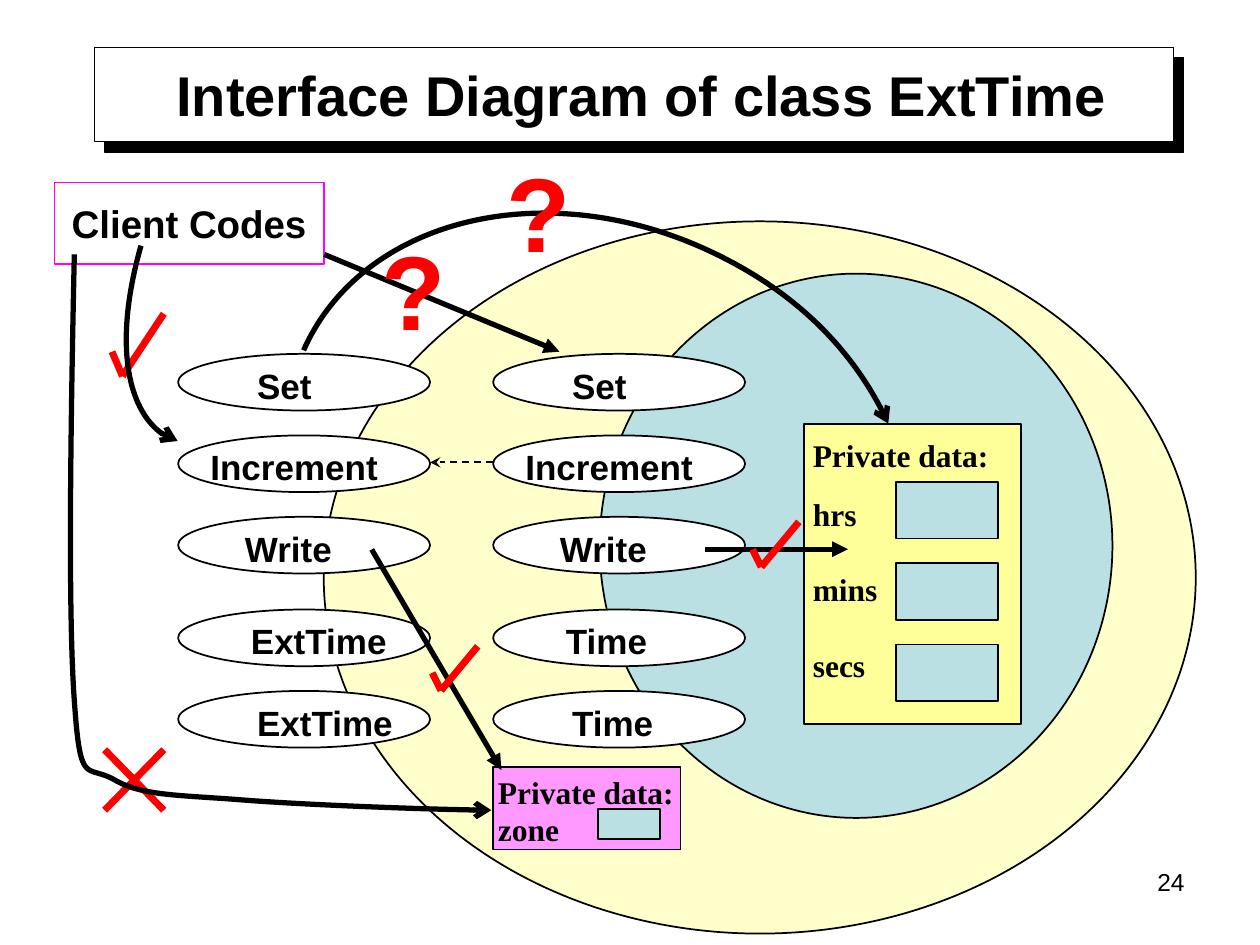
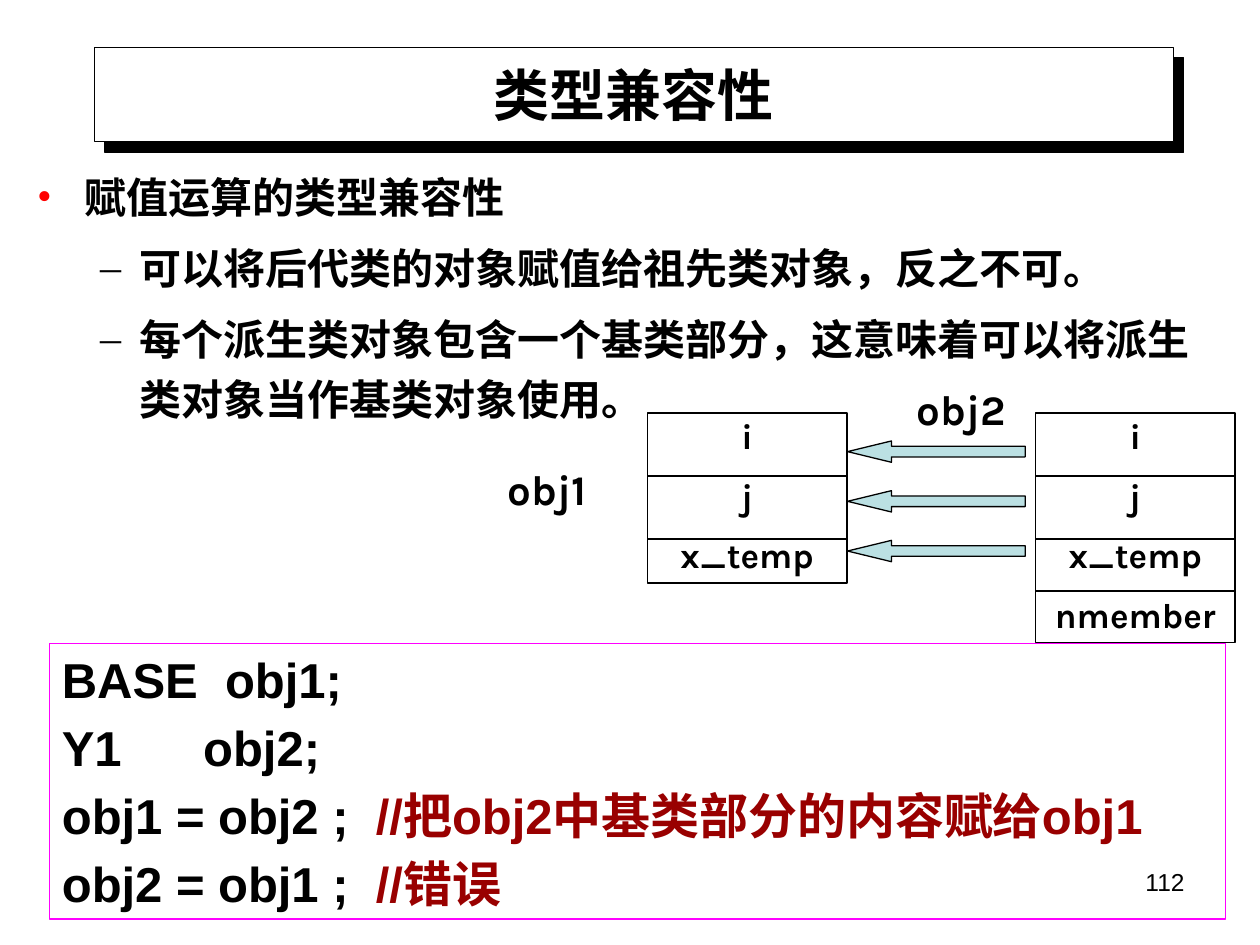
"""Build two class slides: an interface diagram and type compatibility."""
import itertools

import pptx
import pptx.dml.color
import pptx.enum.dml
import pptx.enum.shapes
import pptx.enum.text
import pptx.oxml.ns
import pptx.util
from lxml import etree

Pt = pptx.util.Pt
SHAPE = pptx.enum.shapes.MSO_SHAPE
ALIGN = pptx.enum.text.PP_ALIGN
ANCHOR = pptx.enum.text.MSO_ANCHOR

COLOURS = {
    "black": "000000", "white": "FFFFFF", "red": "FF0000", "dark red": "990000",
    "magenta": "FF00FF", "pink": "FF99FF", "cream": "FFFFCC", "yellow": "FFFF99",
    "teal": "BBE0E3",
}
SANS, SERIF, CODE, CHINESE = "Arial", "Times New Roman", "Karla", "Noto Sans CJK SC"
TITLE_BOX = (54, 27, 616.5, 54)
NUMBER_BOX = (516, 492, 168, 37)

DERIVED_X, BASE_X = 101.8, 281.8
OVAL_SIZE = (144, 32.4)
METHODS = [
    ("Set", "Set", 202.2, 38),
    ("Increment", "Increment", 248.8, 11.3),
    ("Write", "Write", 295.3, 31),
    ("ExtTime", "Time", 348.3, 34.5),
    ("ExtTime", "Time", 394.8, 38),
]
NAME_WIDTHS = {"Set": 46, "Increment": 110.4, "Write": 64.6, "ExtTime": 92.6, "Time": 61.2}
BASE_FIELDS = [("Private data:", 0), ("hrs", 12), ("mins", 21.6), ("secs", 21.6)]
SLOT_TOP, SLOT_STEP = 275.3, 46.5

CROSS = [[(59.8, 428.4), (93.6, 463)], [(93.6, 428.4), (59.8, 463)]]
CLIENT_CHECK = [(64, 201), (70, 215), (93.6, 179.3)]
MEMBER_CHECKS = [
    [(247, 384.5), (252, 394.6), (273, 369.3)],
    [(430, 314), (435, 324), (456.5, 298.2)],
]
STRAIGHT_ARROWS = [
    [(212.4, 314), (286.5, 440)],
    [(403, 313.8), (484.6, 313.8)],
    [(185.3, 145.4), (319.7, 201)],
]
CURVED_ARROWS = [
    [(80.6, 140.4), (65, 195.1), (74, 244.8), (101.5, 252)],
    [(42.5, 145.4), (40.3, 247.7), (38.9, 350), (42.5, 400.3),
     (46, 450.7), (49, 436.3), (65.5, 445.7),
     (81.4, 455), (103, 454.3), (139, 457.2),
     (175, 460), (256.3, 463), (280.8, 463)],
    [(173.5, 200.2), (206, 126.7), (306.7, 100), (400.3, 141.1),
     (449.3, 162.7), (488.2, 199.4), (507.6, 242)],
]
QUESTION_CENTRES = [(307.7, 120.2), (236.3, 165)]

COMPATIBILITY = [
    (0, "赋值运算的类型兼容性"),
    (1, "可以将后代类的对象赋值给祖先类对象，反之不可。"),
    (1, "每个派生类对象包含一个基类部分，这意味着可以将派生类对象当作基类对象使用。"),
]
BULLETS = [("•", "red", 27, -27), ("–", "black", 58.3, -22.3)]
CODE_LINES = [
    ("BASE  obj1;", ""),
    ("Y1      obj2;", ""),
    ("obj1 = obj2 ;  ", "//把obj2中基类部分的内容赋给obj1"),
    ("obj2 = obj1 ;  ", "//错误"),
]
MEMBERS = ["i", "j", "x_temp", "nmember"]
DIVIDERS = [272, 308, 337.8]
OBJECT_TOP, OBJECT_WIDTH = 236, 114
OBJECTS = [
    (370, 97.2, 3, "obj1", (276.5, 264.5)),
    (591.8, 131.2, 4, "obj2", (513.4, 219)),
]


def rgb(name):
    return pptx.dml.color.RGBColor.from_string(COLOURS[name])


def add_child(parent, tag, **attributes):
    return etree.SubElement(parent, pptx.oxml.ns.qn(tag), attributes)


def style_font(paragraph, size, font=SANS, colour="black", bold=True):
    for run in paragraph.runs:
        run.font.size, run.font.bold, run.font.name = Pt(size), bold, font
        run.font.color.rgb = rgb(colour)
        add_child(run.font._element, "a:ea", typeface=CHINESE)


def write(shape, lines, size, font=SANS, colour="black", bold=True, align=ALIGN.LEFT,
          anchor=ANCHOR.TOP, gaps=(), spacing=None, wrap=True):
    frame = shape.text_frame
    frame.word_wrap, frame.vertical_anchor = wrap, anchor
    frame.text = "\n".join(lines)
    for paragraph, gap in itertools.zip_longest(frame.paragraphs, gaps):
        paragraph.alignment = align
        if gap:
            paragraph.space_before = Pt(gap)
        if spacing:
            paragraph.line_spacing = spacing
        style_font(paragraph, size, font, colour, bold)
    return frame


def set_margins(frame, left, top, right=0):
    frame.margin_left, frame.margin_top, frame.margin_right = Pt(left), Pt(top), Pt(right)


def add_text(slide, box, lines, size, **options):
    return write(slide.shapes.add_textbox(*map(Pt, box)), lines, size, **options)


def add_box(slide, kind, box, fill=None, line="black", width=1):
    shape = slide.shapes.add_shape(kind, *map(Pt, box))
    shape.shadow.inherit = False
    if fill:
        shape.fill.solid()
        shape.fill.fore_color.rgb = rgb(fill)
    else:
        shape.fill.background()
    shape.line.color.rgb, shape.line.width = rgb(line), Pt(width)
    return shape


def add_arrowhead(shape, head):
    outline = shape.element.spPr.find(pptx.oxml.ns.qn("a:ln"))
    add_child(outline, "a:tailEnd", type=head)


def add_lines(slide, points, colour="black", width=0.75, head=None, dashed=False):
    for start, end in itertools.pairwise(points):
        connector = slide.shapes.add_connector(
            pptx.enum.shapes.MSO_CONNECTOR.STRAIGHT, *map(Pt, start + end))
        connector.line.color.rgb, connector.line.width = rgb(colour), Pt(width)
        if dashed:
            connector.line.dash_style = pptx.enum.dml.MSO_LINE.DASH
        if head:
            add_arrowhead(connector, head)
        add_child(connector.element.spPr, "a:effectLst")


def add_curved_arrow(slide, controls):
    start, *rest = [(Pt(x), Pt(y)) for x, y in controls]
    builder = slide.shapes.build_freeform(*start)
    builder.add_line_segments(rest, close=False)
    curve = builder.convert_to_shape()
    segments = list(curve.element.iter(pptx.oxml.ns.qn("a:lnTo")))
    outline = segments[0].getparent()
    for first in range(0, len(segments), 3):
        bezier = add_child(outline, "a:cubicBezTo")
        for segment in segments[first:first + 3]:
            bezier.append(segment[0])
            outline.remove(segment)
    curve.shadow.inherit = False
    curve.fill.background()
    curve.line.color.rgb, curve.line.width = rgb("black"), Pt(3)
    add_arrowhead(curve, "arrow")


def add_title_frame(slide):
    frame = add_box(slide, SHAPE.RECTANGLE, TITLE_BOX, "white", width=0.75)
    effects = frame.element.spPr.find(pptx.oxml.ns.qn("a:effectLst"))
    shadow = add_child(effects, "a:outerShdw", dist=str(Pt(8.5)), dir="2700000",
                       algn="ctr", rotWithShape="0")
    add_child(shadow, "a:srgbClr", val=COLOURS["black"])
    slide.slide_layout.shapes._spTree.insert(2, frame.element)


def add_slide(presentation, heading, number, title_shift=0):
    slide = presentation.slides.add_slide(presentation.slide_layouts[5])
    title = slide.shapes.title
    title.left, title.top, title.width, title.height = map(Pt, TITLE_BOX)
    frame = write(title, [heading], 32, align=ALIGN.CENTER, anchor=ANCHOR.MIDDLE)
    set_margins(frame, 7.2 + title_shift, 3.6, 7.2)
    add_text(slide, NUMBER_BOX, [number], 14, bold=False, align=ALIGN.RIGHT)
    return slide


def build_interface_slide(presentation):
    slide = add_slide(presentation, "Interface Diagram of class ExtTime", "24", 9)
    add_title_frame(slide)
    add_box(slide, SHAPE.OVAL, (185, 126.5, 498.3, 407), "cream")
    add_box(slide, SHAPE.OVAL, (342.7, 156.4, 293, 311), "teal")

    add_box(slide, SHAPE.RECTANGLE, (459.4, 242.2, 124, 171.5), "yellow")
    names, gaps = zip(*BASE_FIELDS)
    add_text(slide, (457.4, 245.6, 115.2, 149), names, 18, font=SERIF, gaps=gaps, wrap=False)
    for slot in range(len(BASE_FIELDS) - 1):
        add_box(slide, SHAPE.RECTANGLE,
                (512, SLOT_TOP + slot * SLOT_STEP, 58.3, 32.4), "teal")

    for derived, base, top, indent in METHODS:
        for left, name in ((BASE_X, base), (DERIVED_X, derived)):
            add_box(slide, SHAPE.OVAL, (left, top, *OVAL_SIZE), "white")
            add_text(slide, (left + indent, top + 2.3, NAME_WIDTHS[name], 31.2), [name], 20,
                     wrap=False)
    add_lines(slide, [(BASE_X, 264.2), (DERIVED_X + OVAL_SIZE[0], 264.2)],
              width=1, head="stealth", dashed=True)

    add_box(slide, SHAPE.RECTANGLE, (281.6, 438.5, 107.3, 47), "pink")
    add_text(slide, (277.5, 438, 115.2, 50.4), ["Private data:", "zone"], 18, font=SERIF)
    add_box(slide, SHAPE.RECTANGLE, (341.8, 462.2, 35.3, 17.3), "teal")

    client = add_box(slide, SHAPE.RECTANGLE, (31, 104.4, 154.2, 46.4), line="magenta", width=0.75)
    write(client, ["Client Codes"], 22, align=ALIGN.CENTER, anchor=ANCHOR.MIDDLE, wrap=False)

    for mark in [*CROSS, CLIENT_CHECK]:
        add_lines(slide, mark, "red", 4)
    for controls in CURVED_ARROWS:
        add_curved_arrow(slide, controls)
    for arrow in STRAIGHT_ARROWS:
        add_lines(slide, arrow, width=3, head="triangle")
    for mark in MEMBER_CHECKS:
        add_lines(slide, mark, "red", 4)
    for x, y in QUESTION_CENTRES:
        add_text(slide, (x - 25.5, y - 40, 51, 80), ["?"], 60, colour="red",
                 align=ALIGN.CENTER, anchor=ANCHOR.MIDDLE, wrap=False)


def build_compatibility_slide(presentation):
    slide = add_slide(presentation, "类型兼容性", "112")
    body = slide.shapes.add_textbox(*map(Pt, (14.2, 88.6, 681, 221)))
    frame = body.text_frame
    frame.word_wrap = True
    frame.text = "\n".join(text for _, text in COMPATIBILITY)
    for index, (paragraph, (level, _)) in enumerate(zip(frame.paragraphs, COMPATIBILITY)):
        symbol, colour, margin, indent = BULLETS[level]
        paragraph.level, paragraph.line_spacing = level, 1.2
        if index:
            paragraph.space_before = Pt(6)
        properties = paragraph._p.get_or_add_pPr()
        properties.set("marL", str(Pt(margin)))
        properties.set("indent", str(Pt(indent)))
        add_child(add_child(properties, "a:buClr"), "a:srgbClr", val=COLOURS[colour])
        add_child(properties, "a:buFont", typeface=SERIF)
        add_child(properties, "a:buChar", char=symbol)
        style_font(paragraph, 24, CHINESE)

    code_box = add_box(slide, SHAPE.RECTANGLE, (28.3, 367.7, 672, 157.5),
                       line="magenta", width=0.75)
    frame = write(code_box, [statement for statement, _ in CODE_LINES], 28,
                  gaps=[0] + [5.2] * (len(CODE_LINES) - 1))
    for paragraph, (_, comment) in zip(frame.paragraphs, CODE_LINES):
        if comment:
            run = paragraph.add_run()
            run.text = comment
            style_font(paragraph, 28)
            run.font.color.rgb = rgb("dark red")

    for left, height, count, name, label_place in OBJECTS:
        memory = add_box(slide, SHAPE.RECTANGLE, (left, OBJECT_TOP, OBJECT_WIDTH, height),
                         width=0.75)
        write(memory, MEMBERS[:count], 20, font=CODE, align=ALIGN.CENTER,
              gaps=[0] + [12.5] * (count - 1), spacing=0.9)
        for y in DIVIDERS[:count - 1]:
            add_lines(slide, [(left, y), (left + OBJECT_WIDTH, y)])
        add_text(slide, (*label_place, 72, 33.2), [name], 24, font=CODE,
                 align=ALIGN.CENTER, spacing=0.9)

    for row in range(3):
        arrow = add_box(slide, SHAPE.LEFT_ARROW, (484.3, 252 + row * 28.4, 101.5, 12.2),
                        "teal", width=0.75)
        arrow.adjustments[0], arrow.adjustments[1] = 0.5, 2.06


def main():
    presentation = pptx.Presentation()
    presentation.slide_width, presentation.slide_height = Pt(720), Pt(540)
    build_interface_slide(presentation)
    build_compatibility_slide(presentation)
    presentation.save("out.pptx")


if __name__ == "__main__":
    main()
